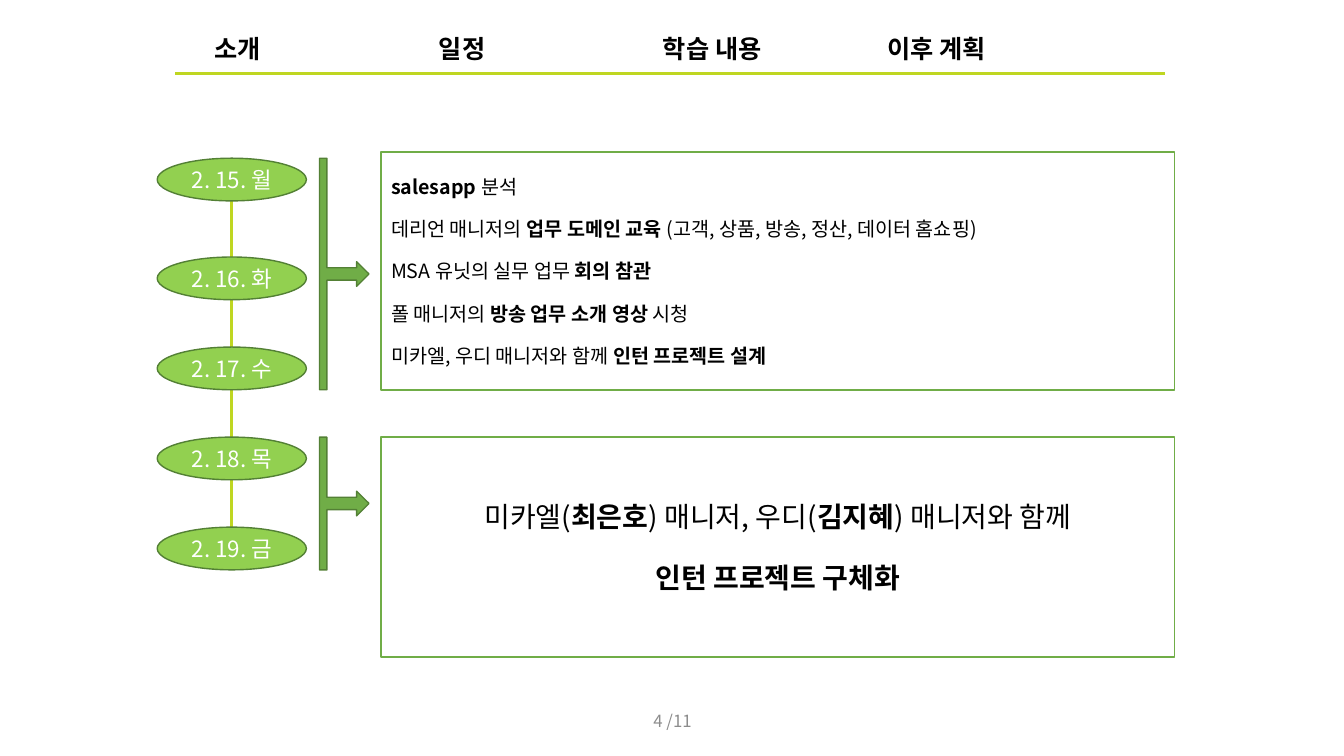
from lxml import etree
from pptx import Presentation
from pptx import util as u
from pptx.dml.color import RGBColor
from pptx.enum import shapes, text
from pptx.oxml import ns

BLACK, WHITE, GREY = "000000", "FFFFFF", "8C8C8C"
LIME, LEAF, GREEN, DARK_GREEN = "BFD621", "92D050", "70AD47", "538035"
LEFT, CENTER = text.PP_ALIGN.LEFT, text.PP_ALIGN.CENTER


def colour(value):
    return RGBColor.from_string(value)


class SlideBuilder:
    font_name = "Noto Sans CJK KR"

    def __init__(self, presentation):
        self.width = presentation.slide_width
        self.height = presentation.slide_height
        self.slide = presentation.slides.add_slide(presentation.slide_layouts[6])

    def x(self, percent):
        return round(self.width * percent / 100)

    def y(self, percent):
        return round(self.height * percent / 100)

    def box(self, left, top, width, height):
        return self.x(left), self.y(top), self.x(width), self.y(height)

    def add_words(self, frame, paragraphs, size, value, align=CENTER, gap=0):
        frame.word_wrap = True
        frame.vertical_anchor = text.MSO_ANCHOR.MIDDLE
        for index, runs in enumerate(paragraphs):
            paragraph = frame.add_paragraph() if index else frame.paragraphs[0]
            paragraph.alignment = align
            paragraph.space_before = u.Pt(gap if index else 0)
            for words, bold in runs:
                run = paragraph.add_run()
                run.text = words
                run.font.name = self.font_name
                run.font.size = u.Pt(size)
                run.font.bold = bold
                run.font.color.rgb = colour(value)
                east_asian = etree.SubElement(run.font._element, ns.qn("a:ea"))
                east_asian.set("typeface", self.font_name)

    def line(self, start, end):
        connector = self.slide.shapes.add_connector(
            shapes.MSO_CONNECTOR.STRAIGHT,
            self.x(start[0]), self.y(start[1]), self.x(end[0]), self.y(end[1]))
        connector.line.color.rgb = colour(LIME)
        connector.line.width = u.Pt(2)
        etree.SubElement(connector._element.spPr, ns.qn("a:effectLst"))

    def shape(self, kind, area, fill, outline):
        shape = self.slide.shapes.add_shape(kind, *self.box(*area))
        shape.shadow.inherit = False
        shape.fill.solid()
        shape.fill.fore_color.rgb = colour(fill)
        shape.line.color.rgb = colour(outline)
        shape.line.width = u.Pt(1)
        return shape

    def day(self, area, label):
        oval = self.shape(shapes.MSO_SHAPE.OVAL, area, LEAF, DARK_GREEN)
        frame = oval.text_frame
        frame.margin_top = frame.margin_bottom = 0
        self.add_words(frame, [[(label, False)]], 16, WHITE)

    def panel(self, area, paragraphs, size, align, gap):
        panel = self.shape(shapes.MSO_SHAPE.RECTANGLE, area, WHITE, GREEN)
        self.add_words(panel.text_frame, paragraphs, size, BLACK, align, gap)

    def callout(self, area):
        callout = self.shape(
            shapes.MSO_SHAPE.RIGHT_ARROW_CALLOUT, area, GREEN, DARK_GREEN)
        for index, value in enumerate((0.25, 0.25, 0.25, 0.15)):
            callout.adjustments[index] = value

    def menu(self, area, labels):
        table = self.slide.shapes.add_table(1, len(labels), *self.box(*area)).table
        for cell, label in zip(table.rows[0].cells, labels):
            cell.fill.solid()
            cell.fill.fore_color.rgb = colour(WHITE)
            self.add_words(cell.text_frame, [[(label, True)]], 18, BLACK, LEFT)
            cell.vertical_anchor = text.MSO_ANCHOR.TOP

    def label(self, area, words):
        frame = self.slide.shapes.add_textbox(*self.box(*area)).text_frame
        self.add_words(frame, [[(words, False)]], 12, GREY)


def main():
    presentation = Presentation()
    presentation.slide_width = u.Inches(13.33)
    presentation.slide_height = u.Inches(7.5)
    builder = SlideBuilder(presentation)

    day_labels = ["2. 15. 월", "2. 16. 화", "2. 17. 수", "2. 18. 목", "2. 19. 금"]
    day_tops = [20.93] + [34 + 11.91 * step for step in range(4)]
    day_left, day_width, day_height = 11.7, 11.1, 5.65
    spine = day_left + day_width / 2

    builder.line((spine, day_tops[0] + day_height / 2),
                 (spine, day_tops[-1] + day_height / 2))
    builder.line((13.05, 9.73), (86.65, 9.73))
    builder.menu((15.23, 3.2, 66.69, 5.47), ["소개", "일정", "학습 내용", "이후 계획"])
    builder.label((47.04, 92.67, 6, 5.33), "4 /11")
    for top, label in zip(day_tops, day_labels):
        builder.day((day_left, top, day_width, day_height), label)

    learning = [
        [("salesapp ", True), ("분석", False)],
        [("데리언 매니저의 ", False), ("업무 도메인 교육 ", True),
         ("(고객, 상품, 방송, 정산, 데이터 홈쇼핑)", False)],
        [("MSA 유닛의 실무 업무 ", False), ("회의 참관", True)],
        [("폴 매니저의 ", False), ("방송 업무 소개 영상 ", True), ("시청", False)],
        [("미카엘, 우디 매니저와 함께 ", False), ("인턴 프로젝트 설계", True)],
    ]
    project = [
        [("미카엘(", False), ("최은호", True), (") 매니저, 우디(", False),
         ("김지혜", True), (") 매니저와 함께", False)],
        [("인턴 프로젝트 구체화", True)],
    ]
    panel_left, panel_width = 28.36, 59.04
    builder.panel((panel_left, 20.13, panel_width, 31.47), learning, 14, LEFT, 13.5)
    builder.panel((panel_left, day_tops[3], panel_width, 29.07), project, 20, CENTER, 19.6)
    for first, last in ((0, 2), (3, 4)):
        height = day_tops[last] + day_height - day_tops[first]
        builder.callout((23.78, day_tops[first], 3.68, height))

    presentation.save("out.pptx")


if __name__ == "__main__":
    main()
